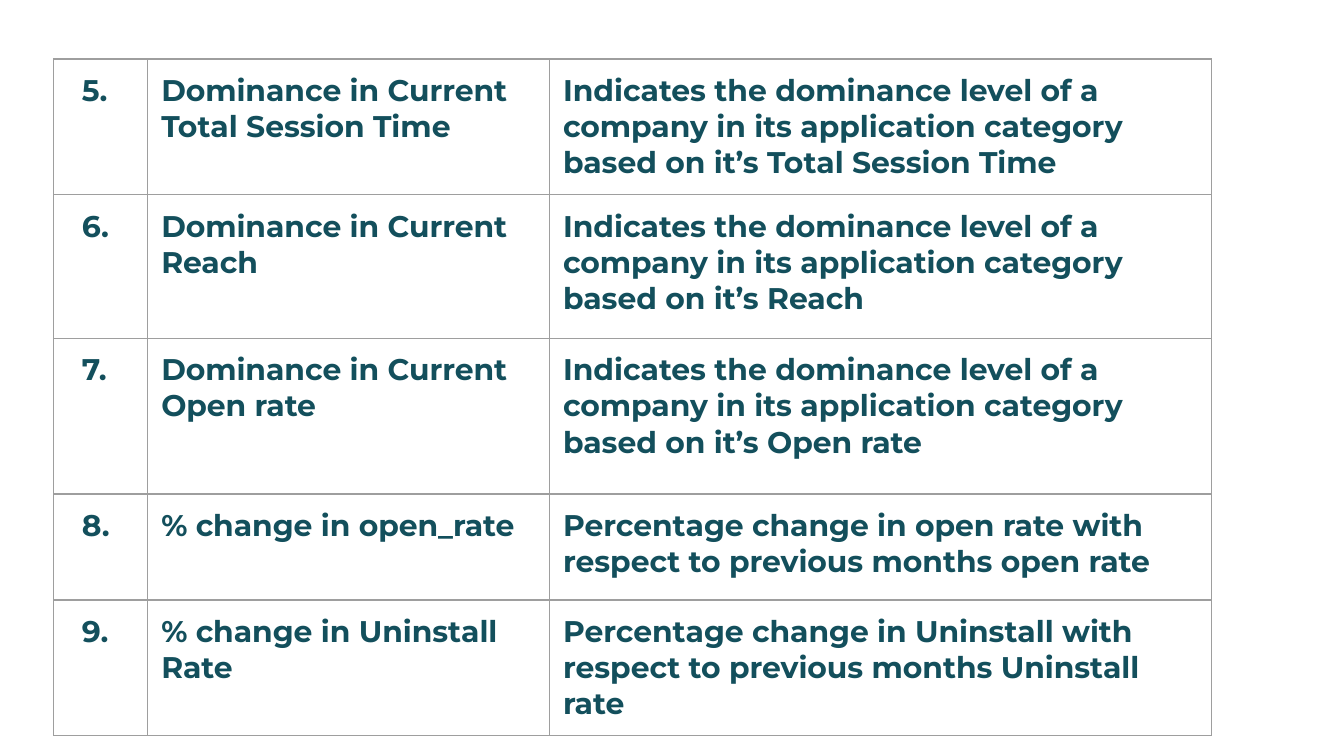
from dataclasses import dataclass

from lxml import etree
from pptx import Presentation
from pptx import util as u
from pptx.dml.color import RGBColor
from pptx.enum import text
from pptx.oxml import ns


@dataclass(frozen=True)
class Theme:
    font: str = "Montserrat"
    size: float = 16
    ink: str = "134F5C"
    border: str = "9E9E9E"
    border_width: float = 0.75
    background: str = "FFFFFF"
    padding: float = 0.1
    number_indent: float = 0.11


class SlideBuilder:
    """Holds the theme and current slide; lengths are percentages of the slide."""

    def __init__(self, presentation, theme):
        self.theme = theme
        self.width = presentation.slide_width
        self.height = presentation.slide_height
        self.slide = presentation.slides.add_slide(presentation.slide_layouts[6])
        fill = self.slide.background.fill
        fill.solid()
        fill.fore_color.rgb = RGBColor.from_string(theme.background)

    def across(self, share):
        return round(self.width * share / 100)

    def down(self, share):
        return round(self.height * share / 100)

    def table(self, left, top, columns, rows, records):
        """Adds a table whose rows grow when their text needs more height."""
        frame = self.slide.shapes.add_table(
            len(rows), len(columns), self.across(left), self.down(top),
            self.across(sum(columns)), self.down(sum(rows)))
        table = frame.table
        table.first_row = table.horz_banding = False
        for column, share in zip(table.columns, columns):
            column.width = self.across(share)
        for row, share, record in zip(table.rows, rows, records):
            row.height = self.down(share)
            for index, (cell, words) in enumerate(zip(row.cells, record)):
                self.cell(cell, words, self.theme.number_indent if index == 0 else 0)

    def cell(self, cell, words, indent):
        padding = u.Inches(self.theme.padding)
        cell.margin_left = cell.margin_right = padding
        cell.margin_top = cell.margin_bottom = padding
        cell.vertical_anchor = text.MSO_ANCHOR.TOP
        self.borders(cell)
        cell.fill.background()
        paragraph = cell.text_frame.paragraphs[0]
        paragraph._p.get_or_add_pPr().set("marL", str(u.Inches(indent)))
        run = paragraph.add_run()
        run.text = words
        run.font.name = self.theme.font
        run.font.size = u.Pt(self.theme.size)
        run.font.bold = True
        run.font.color.rgb = RGBColor.from_string(self.theme.ink)

    def borders(self, cell):
        properties = cell._tc.get_or_add_tcPr()
        for side in ("a:lnL", "a:lnR", "a:lnT", "a:lnB"):
            line = etree.SubElement(properties, ns.qn(side),
                                    w=str(u.Pt(self.theme.border_width)))
            fill = etree.SubElement(line, ns.qn("a:solidFill"))
            etree.SubElement(fill, ns.qn("a:srgbClr"), val=self.theme.border)


def dominance(measure):
    return (f"Dominance in Current {measure}",
            "Indicates the dominance level of a company in its application "
            f"category based on it’s {measure}")


def main():
    presentation = Presentation()
    presentation.slide_width = u.Inches(10)
    presentation.slide_height = presentation.slide_width * 9 // 16

    metrics = [
        dominance("Total Session Time"),
        dominance("Reach"),
        dominance("Open rate"),
        ("% change in open_rate",
         "Percentage change in open rate with respect to previous months open rate"),
        ("% change in Uninstall Rate",
         "Percentage change in Uninstall with respect to previous months Uninstall rate"),
    ]
    records = [(f"{number}.", *metric) for number, metric in enumerate(metrics, start=5)]

    builder = SlideBuilder(presentation, Theme())
    builder.table(left=4, top=7.8, columns=(7, 29.9, 49.25),
                  rows=(11.2, 19, 20.6, 14, 14), records=records)
    presentation.save("out.pptx")


if __name__ == "__main__":
    main()
